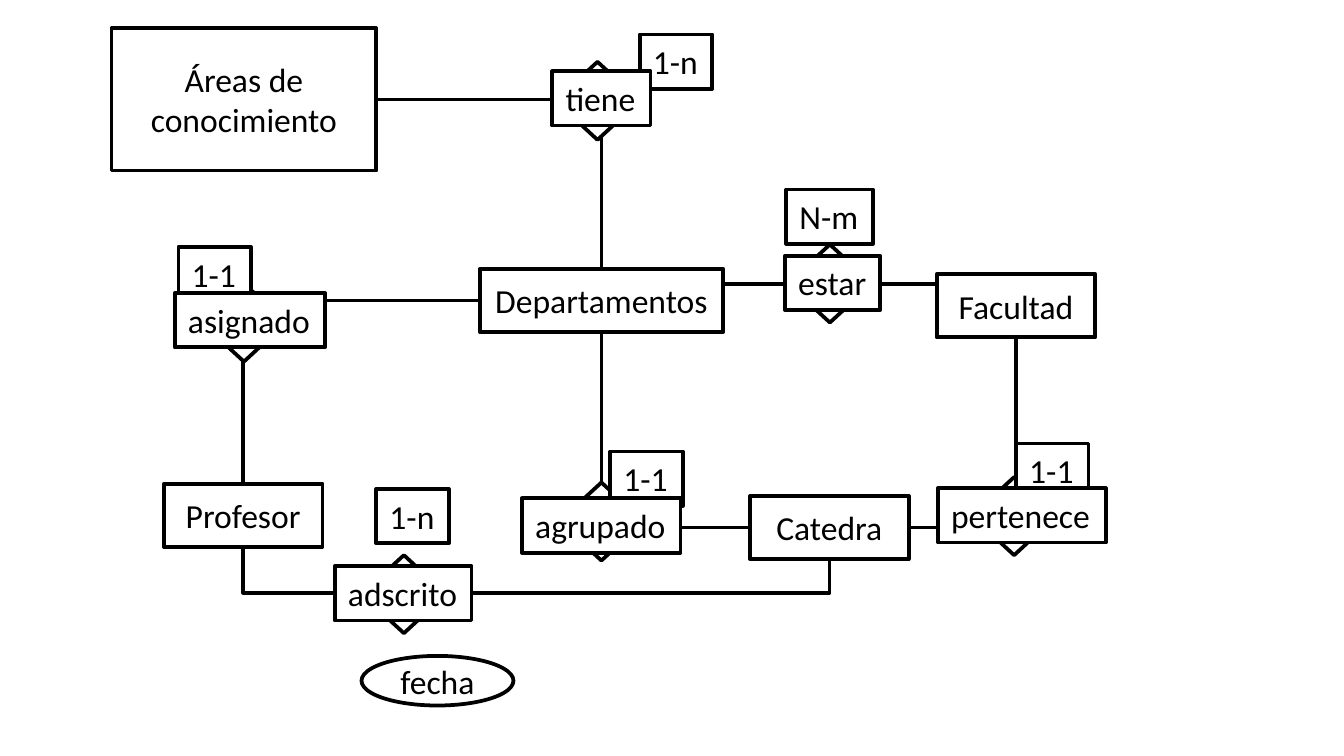
from typing import NamedTuple

from lxml.etree import SubElement
from pptx import Presentation
from pptx.dml.color import RGBColor
from pptx.enum.shapes import MSO_CONNECTOR as LineKind, MSO_SHAPE as ShapeKind
from pptx.enum.text import MSO_ANCHOR as Anchor, MSO_AUTO_SIZE as AutoSize, PP_ALIGN as Align
from pptx.oxml.ns import qn
from pptx.shapes.autoshape import Shape
from pptx.shapes.connector import Connector
from pptx.slide import Slide
from pptx.util import Pt

BLACK = RGBColor(0x00, 0x00, 0x00)
WHITE = RGBColor(0xFF, 0xFF, 0xFF)
LABEL_HEIGHT = 29.1
TOP, LEFT, BOTTOM, RIGHT = range(4)


class Entity(NamedTuple):
    text: str
    left: float
    top: float
    width: float = 85
    height: float = 33.9
    kind: ShapeKind = ShapeKind.RECTANGLE


class Label(NamedTuple):
    text: str
    left: float
    top: float
    width: float = 38.9


class Elbow(NamedTuple):
    """Runs horizontally out of the start, then vertically into the end."""
    start: str
    start_side: int
    end: str
    end_side: int


ENTITIES = [
    Entity("Departamentos", 257, 144, 130.5),
    Entity("Profesor", 87.8, 259.2),
    Entity("Catedra", 401.8, 265.7),
    Entity("Áreas de conocimiento", 59.8, 15.1, 141.8, 76.3),
    Entity("Facultad", 501.8, 146.9),
    Entity("fecha", 193.7, 351.4, 81.4, 26.6, ShapeKind.OVAL),
]
ELBOWS = [
    Elbow("Catedra", LEFT, "Departamentos", BOTTOM),
    Elbow("Catedra", RIGHT, "Facultad", BOTTOM),
    Elbow("Departamentos", LEFT, "Profesor", TOP),
    Elbow("Áreas de conocimiento", RIGHT, "Departamentos", TOP),
]
DIAMOND_CORNERS = [(421.9, 131), (520.6, 255.6), (299.5, 258.5),
                   (108, 151.9), (193.7, 297.4), (297.4, 33.1)]
CARDINALITIES = [
    Label("N-m", 421.2, 101.5, 46.4),
    Label("1-1", 544.3, 237.6),
    Label("1-1", 326.9, 241.9),
    Label("1-1", 95.6, 132.3),
    Label("1-n", 201.6, 262),
    Label("1-n", 342.7, 18.5),
]
RELATIONS = [
    Label("tiene", 295.9, 38.1, 52.6),
    Label("asignado", 93.6, 157, 80.6),
    Label("adscrito", 179.3, 303.3, 73.4),
    Label("agrupado", 279.6, 267, 85),
    Label("estar", 420.5, 137, 51.1),
    Label("pertenece", 502.4, 261.5, 90),
]


def style_box(shape: Shape) -> None:
    shape.fill.solid()
    shape.fill.fore_color.rgb = WHITE
    shape.line.color.rgb = BLACK
    shape.line.width = Pt(2)


def write_text(shape: Shape, text: str, align: Align) -> None:
    paragraph = shape.text_frame.paragraphs[0]
    paragraph.text = text
    paragraph.alignment = align
    paragraph.font.name = "Calibri"
    paragraph.font.size = Pt(18)
    paragraph.font.color.rgb = BLACK


def add_shape(slide: Slide, entity: Entity) -> Shape:
    shape = slide.shapes.add_shape(entity.kind, Pt(entity.left), Pt(entity.top),
                                   Pt(entity.width), Pt(entity.height))
    shape.shadow.inherit = False
    style_box(shape)
    if entity.text:
        shape.text_frame.vertical_anchor = Anchor.MIDDLE
        write_text(shape, entity.text, Align.CENTER)
    return shape


def add_label(slide: Slide, label: Label) -> None:
    box = slide.shapes.add_textbox(Pt(label.left), Pt(label.top),
                                   Pt(label.width), Pt(LABEL_HEIGHT))
    style_box(box)
    box.text_frame.word_wrap = False
    box.text_frame.auto_size = AutoSize.SHAPE_TO_FIT_TEXT
    write_text(box, label.text, Align.LEFT)


def add_line(slide: Slide, kind: LineKind, x1: float = 0, y1: float = 0,
             x2: float = 0, y2: float = 0) -> Connector:
    line = slide.shapes.add_connector(kind, Pt(x1), Pt(y1), Pt(x2), Pt(y2))
    line.line.color.rgb = BLACK
    line.line.width = Pt(2)
    SubElement(line._element.spPr, qn("a:effectLst"))
    return line


def add_elbow(slide: Slide, elbow: Elbow, shapes: dict[str, Shape]) -> None:
    line = add_line(slide, LineKind.ELBOW)
    line.begin_connect(shapes[elbow.start], elbow.start_side)
    line.end_connect(shapes[elbow.end], elbow.end_side)
    line._element.spPr.find(qn("a:prstGeom")).set("prst", "bentConnector2")


def add_loop_below(slide: Slide, start: Shape, end: Shape, drop: float) -> None:
    """Joins two bottom sides by a line that dips by drop below the start."""
    line = add_line(slide, LineKind.ELBOW)
    line.begin_connect(start, BOTTOM)
    line.end_connect(end, BOTTOM)
    # A quarter turn swaps the width and height of the connector's box
    center_x = line.left + line.width // 2
    center_y = line.top + line.height // 2
    width, height = line.height, line.width
    line.left, line.top = center_x - width // 2, center_y - height // 2
    line.width, line.height = width, height
    properties = line._element.spPr
    transform = properties.find(qn("a:xfrm"))
    transform.set("rot", str(270 * 60000))
    transform.set("flipH", "1")
    guides = properties.find(qn("a:prstGeom")).get_or_add_avLst()
    ratio = round(Pt(drop) / width * 100000)
    SubElement(guides, qn("a:gd"), name="adj1", fmla=f"val {ratio}")


def main() -> None:
    presentation = Presentation()
    presentation.slide_width, presentation.slide_height = Pt(720), Pt(405)
    slide = presentation.slides.add_slide(presentation.slide_layouts[6])

    # Entities and the attribute
    shapes = {entity.text: add_shape(slide, entity) for entity in ENTITIES}

    # Links between entities
    add_line(slide, LineKind.STRAIGHT, 501.8, 152, 387.5, 152)
    for elbow in ELBOWS:
        add_elbow(slide, elbow, shapes)
    add_loop_below(slide, shapes["Profesor"], shapes["Catedra"], 24.6)

    # Relationship diamonds
    for left, top in DIAMOND_CORNERS:
        add_shape(slide, Entity("", left, top, 45.4, 41.8, ShapeKind.DIAMOND))

    # Cardinalities, with the relationship names in front
    for label in CARDINALITIES + RELATIONS:
        add_label(slide, label)

    presentation.save("out.pptx")


if __name__ == "__main__":
    main()
